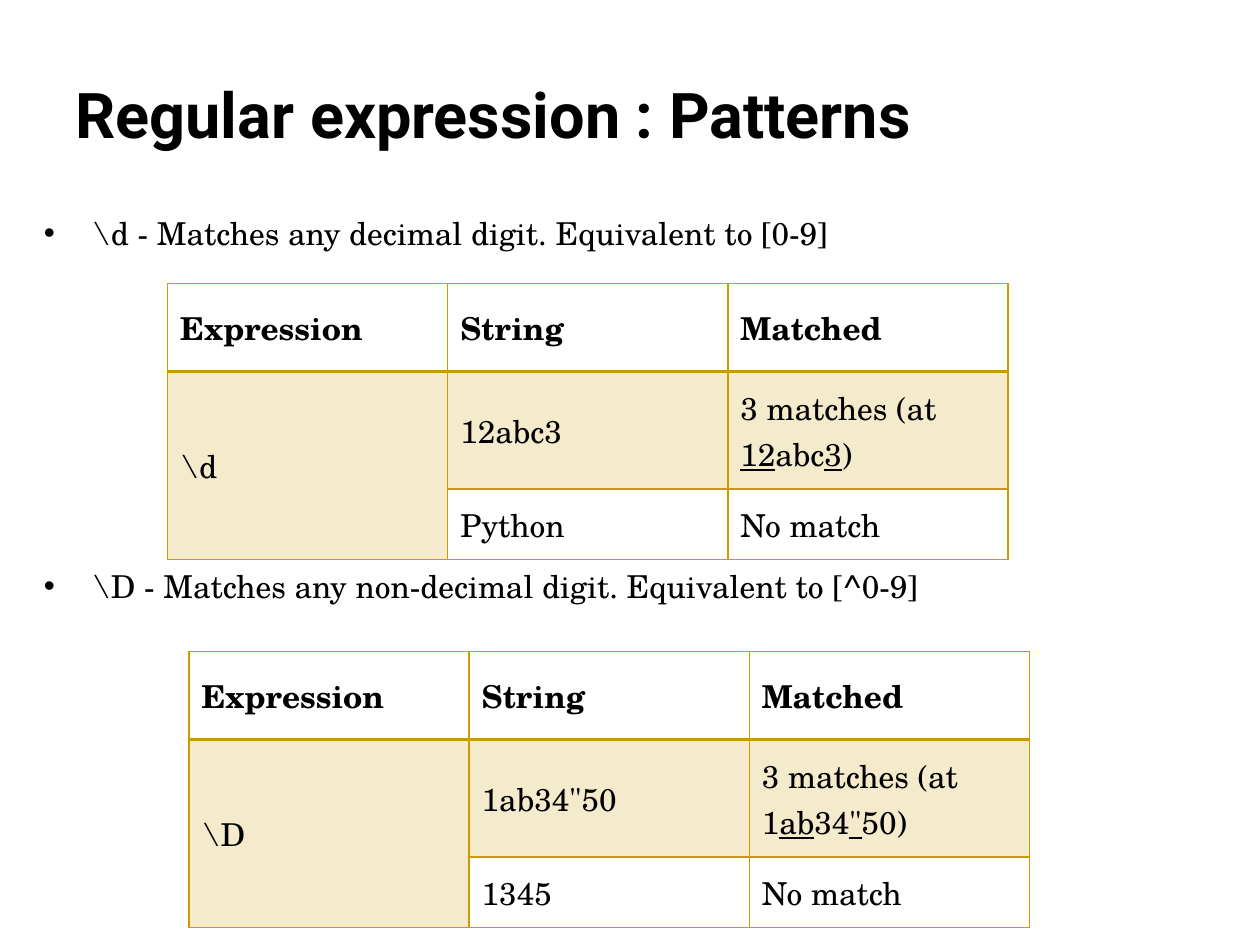
from lxml import etree
from pptx import Presentation
from pptx.dml.color import RGBColor
from pptx.enum.text import MSO_ANCHOR as Anchor
from pptx.oxml.ns import qn
from pptx.util import Inches, Pt

BODY_FONT = "TeX Gyre Schola"
GOLD = "CC9900"
HEADER = ("Expression", "String", "Matched")
ROW_HEIGHTS = (0.7, 0.93, 0.56)


def color(hex_str):
    """Turn a hex string into a colour."""
    return RGBColor.from_string(hex_str)


def add_run(p, text, size=18, font=BODY_FONT, bold=False, underline=False):
    """Add one formatted black run to a paragraph."""
    r = p.add_run()
    r.text = text
    r.font.size, r.font.name = Pt(size), font
    r.font.bold, r.font.underline = bold, underline
    r.font.color.rgb = color("000000")


def add_text_box(s, x, y, w, h, anchor):
    """Add a wrapping text box and return its frame."""
    tf = s.shapes.add_textbox(Inches(x), Inches(y), Inches(w), Inches(h)).text_frame
    tf.word_wrap = True
    tf.vertical_anchor = anchor
    return tf


def add_title(s, x, y, w, h, text):
    """Place the slide title at the bottom of its box."""
    tf = add_text_box(s, x, y, w, h, Anchor.BOTTOM)
    add_run(tf.paragraphs[0], text, 36, "Roboto", bold=True)


def add_bullet(s, x, y, w, h, text):
    """Place one bulleted line with a hanging indent."""
    p = add_text_box(s, x, y, w, h, Anchor.MIDDLE).paragraphs[0]
    pPr = p._p.get_or_add_pPr()
    pPr.set("marL", str(Inches(0.38)))
    pPr.set("indent", str(-Inches(0.38)))
    etree.SubElement(pPr, qn("a:buFont")).set("typeface", "Arial")
    etree.SubElement(pPr, qn("a:buChar")).set("char", "•")
    add_run(p, text)


def add_borders(cell, bottom):
    """Draw gold lines on all four sides of a cell."""
    tcPr = cell._tc.get_or_add_tcPr()
    for side, width in (("L", 1), ("R", 1), ("T", 1), ("B", bottom)):
        ln = etree.SubElement(tcPr, qn(f"a:ln{side}"), w=str(Pt(width)))
        fill = etree.SubElement(ln, qn("a:solidFill"))
        etree.SubElement(fill, qn("a:srgbClr"), val=GOLD)


def style_cell(cell, row):
    """Set margins, borders and fill according to the row."""
    header = row == 0
    cell.vertical_anchor = Anchor.MIDDLE
    cell.margin_left, cell.margin_right = Inches(0.1), Inches(0.08)
    cell.margin_top = Inches(0.16 if header else 0.1)
    cell.margin_bottom = Inches(0.15 if header else 0.09)
    add_borders(cell, 2 if header else 1)
    if row == 1:
        cell.fill.solid()
        cell.fill.fore_color.rgb = color(GOLD)
        clr = cell._tc.tcPr.find(f"{qn('a:solidFill')}/{qn('a:srgbClr')}")
        etree.SubElement(clr, qn("a:alpha"), val="20000")
    else:
        cell.fill.background()


def add_match_table(s, x, y, w, rows):
    """Place a match table; underscores enclose underlined text."""
    height = Inches(sum(ROW_HEIGHTS))
    data = (HEADER, *rows)
    tbl = s.shapes.add_table(len(data), len(HEADER), Inches(x), Inches(y), Inches(w), height).table
    tbl.first_row = tbl.horz_banding = False
    for i, texts in enumerate(data):
        tbl.rows[i].height = Inches(ROW_HEIGHTS[i])
        for j, text in enumerate(texts):
            cell = tbl.cell(i, j)
            style_cell(cell, i)
            for k, part in enumerate(text.split("_")):
                if part:
                    add_run(cell.text_frame.paragraphs[0], part, bold=i == 0, underline=k % 2 == 1)
    tbl.cell(1, 0).merge(tbl.cell(2, 0))


def main():
    """Build the slide and save it."""
    prs = Presentation()
    prs.slide_width, prs.slide_height = Inches(10), Inches(7.5)
    s = prs.slides.add_slide(prs.slide_layouts[6])
    add_title(s, 0.5, 0.08, 7.42, 1.17, "Regular expression : Patterns")
    add_bullet(s, 0.25, 1.65, 9.75, 0.4, r"\d - Matches any decimal digit. Equivalent to [0-9]")
    add_match_table(s, 1.33, 2.25, 6.67, (
        (r"\d", "12abc3", "3 matches (at _12_abc_3_)"),
        ("", "Python", "No match"),
    ))
    add_bullet(s, 0.25, 4.45, 9.75, 0.4, r"\D - Matches any non-decimal digit. Equivalent to [^0-9]")
    add_match_table(s, 1.5, 5.17, 6.67, (
        (r"\D", '1ab34"50', '3 matches (at 1_ab_34_"_50)'),
        ("", "1345", "No match"),
    ))
    prs.save("out.pptx")


if __name__ == "__main__":
    main()
